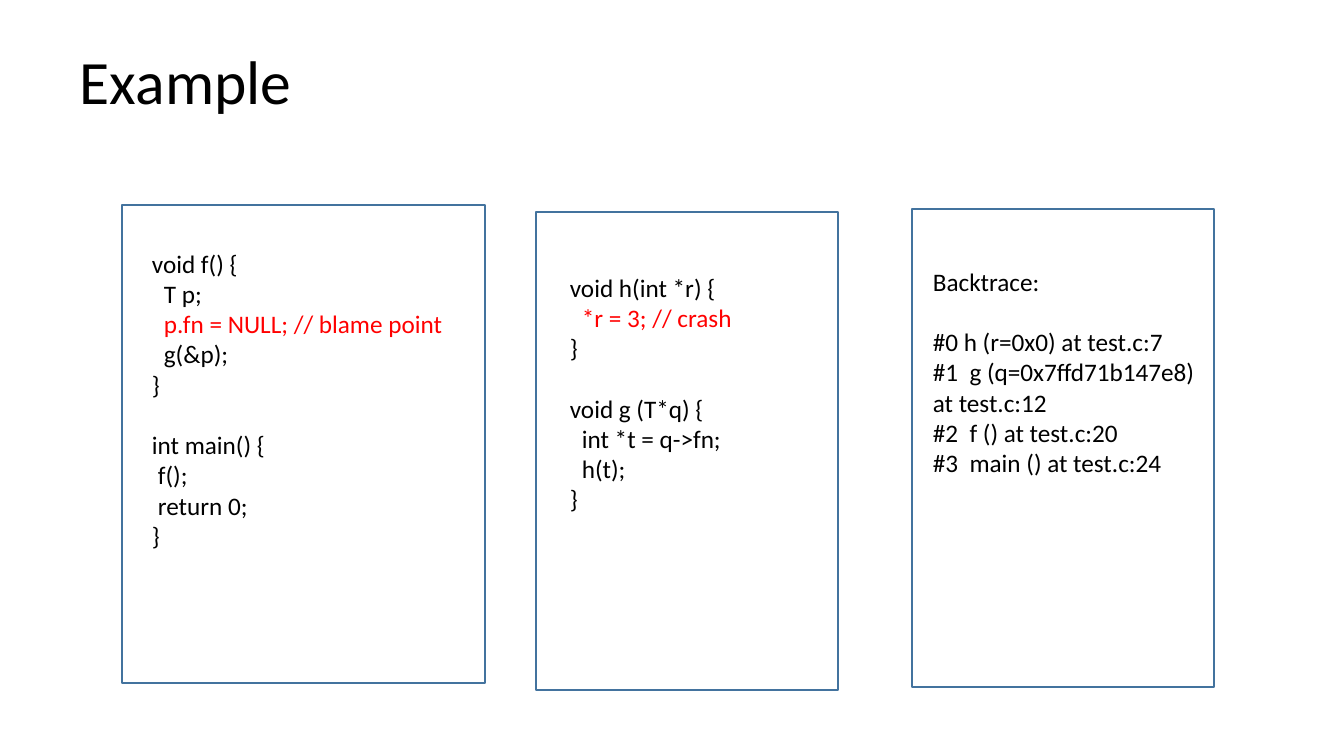
from dataclasses import dataclass

from pptx import Presentation
from pptx.dml.color import RGBColor
from pptx.enum.shapes import MSO_SHAPE as Shape
from pptx.enum.text import MSO_ANCHOR as Anchor
from pptx.util import Emu, Pt


@dataclass
class Theme:
    font: str = "Calibri"
    title_size: int = 44
    code_size: int = 18
    line_gap: float = 21.6
    ink: RGBColor = RGBColor(0, 0, 0)
    alert: RGBColor = RGBColor(255, 0, 0)
    frame: RGBColor = RGBColor(0x43, 0x73, 0x9E)


theme = Theme()
SCALE = 914400 / 100.8
SPACE = 6  # width of one indent step


def px(*lengths):
    return [Emu(round(length * SCALE)) for length in lengths]


def add_span(para, text, size, color):
    span = para.add_run()
    span.text = text
    span.font.name = theme.font
    span.font.size = Pt(size)
    span.font.color.rgb = color


deck = Presentation()
deck.slide_width, deck.slide_height = px(1344, 756)
page = deck.slides.add_slide(deck.slide_layouts[6])

# Title
title = page.shapes.add_textbox(*px(70, 12, 1159, 146)).text_frame
title.word_wrap = True
title.vertical_anchor = Anchor.MIDDLE
title.paragraphs[0].line_spacing = 0.9
add_span(title.paragraphs[0], "Example", theme.title_size, theme.ink)

# Panels: frame, text box, blocks of (indent, line, colour)
ink, alert = theme.ink, theme.alert
panels = [
    ((122, 205, 363, 478), (142, 243, 353, 346), [
        [(0, "void f() {", ink), (2, "T p;", ink),
         (2, "p.fn = NULL; // blame point", alert),
         (2, "g(&p);", ink), (0, "}", ink)],
        [(0, "int main() {", ink), (1, "f();", ink),
         (1, "return 0;", ink), (0, "}", ink)],
    ]),
    ((536, 212, 302, 478), (560, 267, 250, 285), [
        [(0, "void h(int *r) {", ink), (2, "*r = 3; // crash", alert),
         (0, "}", ink)],
        [(0, "void g (T*q) {", ink), (2, "int *t = q->fn;", ink),
         (2, "h(t);", ink), (0, "}", ink)],
    ]),
    ((912, 209, 302, 478), (923, 261, 297, 285), [
        [(0, "Backtrace:", ink)],
        [(0, "#0 h (r=0x0) at test.c:7", ink),
         (0, "#1  g (q=0x7ffd71b147e8) at test.c:12", ink),
         (0, "#2  f () at test.c:20", ink),
         (0, "#3  main () at test.c:24", ink)],
    ]),
]

for frame_area, text_area, blocks in panels:
    frame = page.shapes.add_shape(Shape.RECTANGLE, *px(*frame_area))
    frame.shadow.inherit = False
    frame.fill.background()
    frame.line.color.rgb = theme.frame
    frame.line.width = Pt(1)

    box = page.shapes.add_textbox(*px(*text_area)).text_frame
    box.word_wrap = True
    para = None
    for block in blocks:
        for number, (indent, line, color) in enumerate(block):
            first = para is None
            para = box.paragraphs[0] if first else box.add_paragraph()
            if number == 0 and not first:
                para.space_before = Pt(theme.line_gap)
            if indent:
                margin = px(indent * SPACE)[0]
                para._p.get_or_add_pPr().set("marL", str(margin))
            add_span(para, line, theme.code_size, color)

deck.save("out.pptx")
